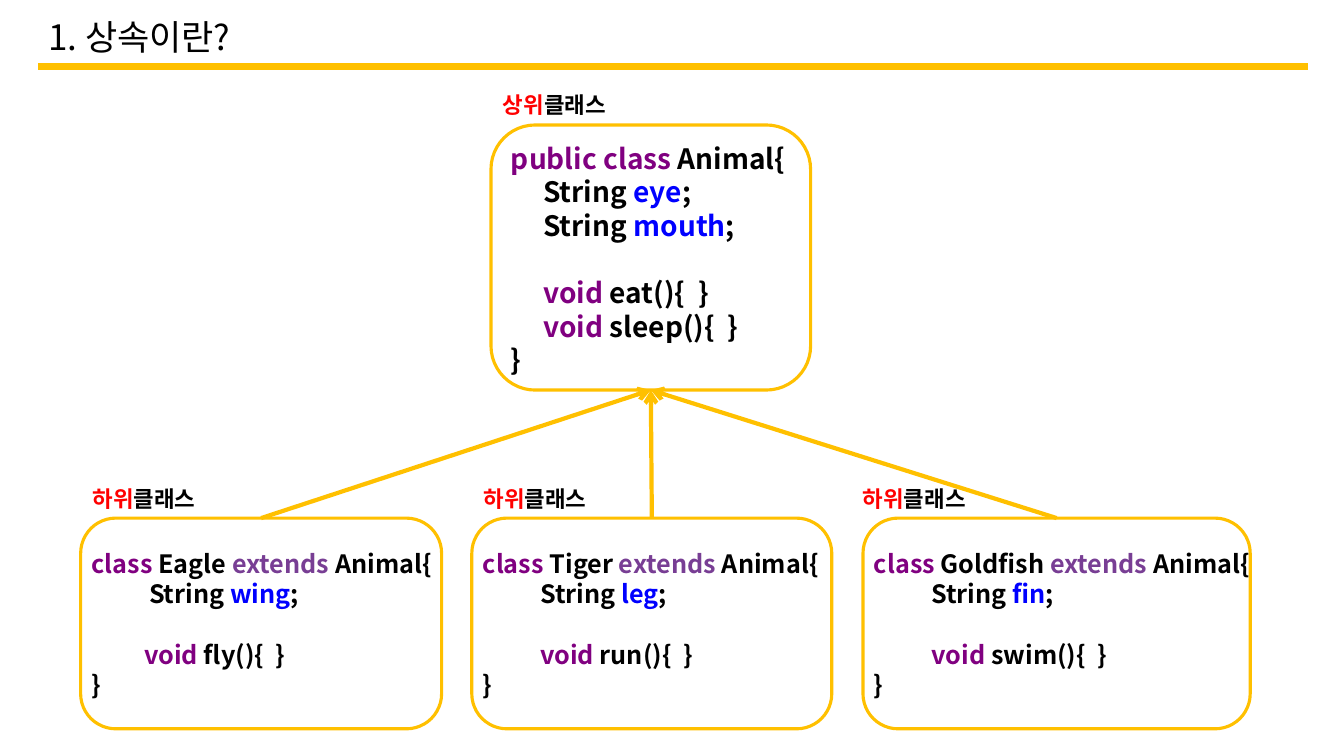
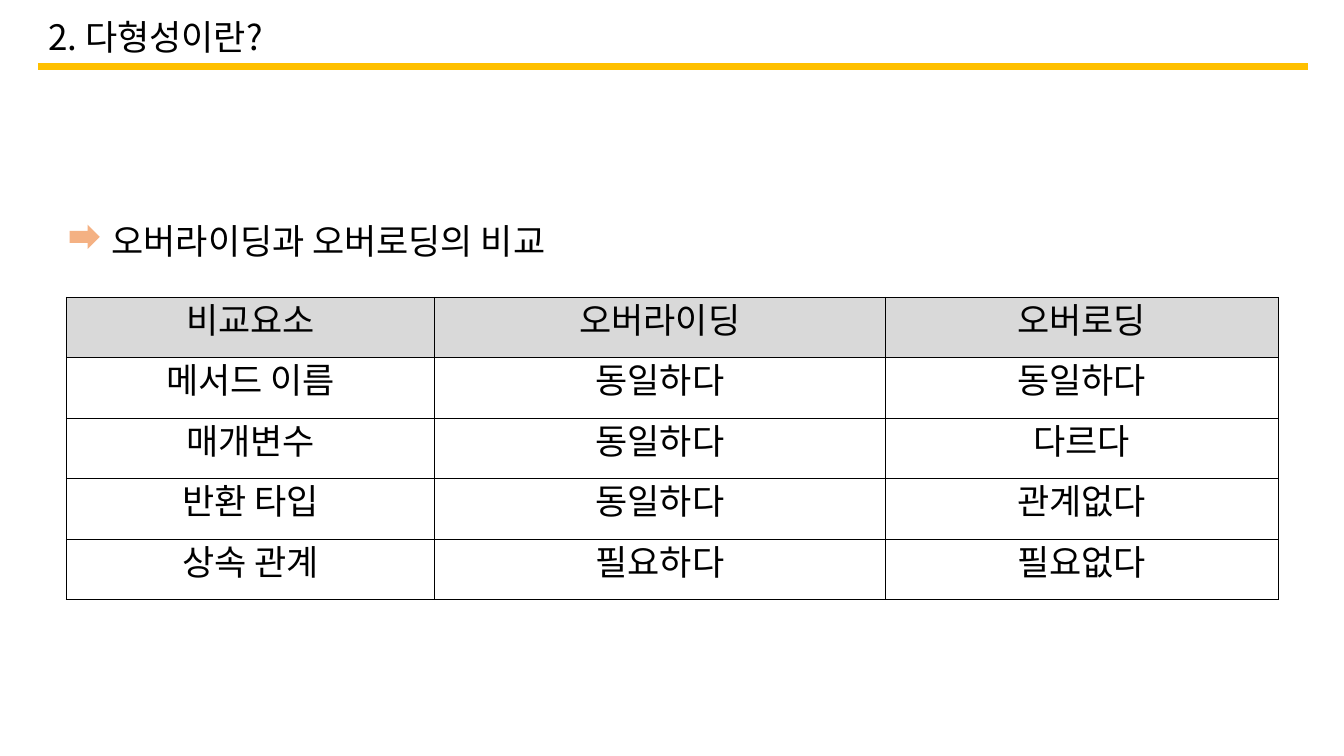
from lxml.etree import SubElement
from pptx import Presentation
from pptx.dml.color import RGBColor
from pptx.enum.shapes import MSO_CONNECTOR, MSO_SHAPE
from pptx.enum.text import MSO_ANCHOR, MSO_AUTO_SIZE, PP_ALIGN
from pptx.oxml.ns import qn
from pptx.util import Inches, Pt


class Theme:
    font = "Noto Sans CJK KR"
    cell = "Arial"
    head = 25
    code = 20
    sub = 18
    tag = 16
    lead = 1.2
    ink = "000000"
    key = "800080"
    ext = "783E94"
    var = "0000FF"
    hot = "FF0000"
    gold = "FFC000"
    peach = "F4B183"
    gray = "D9D9D9"
    white = "FFFFFF"


WIDE, HIGH = 13.33, 7.5
TITLES = ["1. 상속이란?", "2. 다형성이란?"]

BASE = [
    (0, 0, [("key", "public class "), ("ink", "Animal{")]),
    (0.32, 0, [("ink", "String "), ("var", "eye"), ("ink", ";")]),
    (0.32, 0, [("ink", "String "), ("var", "mouth"), ("ink", ";")]),
    (0.32, 1, [("key", "void"), ("ink", " eat(){  }")]),
    (0.32, 0, [("key", "void"), ("ink", " sleep(){  }")]),
    (0, 0, [("ink", "}")]),
]
KIDS = [
    ("Eagle", "wing", "fly", 3.58, 0.02, 0.52),
    ("Tiger", "leg", "run", 3.57, 0.02, 0.57),
    ("Goldfish", "fin", "swim", 3.84, -0.1, 0.57),
]
LEFT, STEP, TOP = 0.8, 3.88, 5.14

CAPTION = "오버라이딩과 오버로딩의 비교"
ROWS = [
    ("비교요소", "오버라이딩", "오버로딩"),
    ("메서드 이름", "동일하다", "동일하다"),
    ("매개변수", "동일하다", "다르다"),
    ("반환 타입", "동일하다", "관계없다"),
    ("상속 관계", "필요하다", "필요없다"),
]
COLS = [3.65, 4.47, 3.9]
ROW = 0.6


def rgb(name):
    return RGBColor.from_string(getattr(Theme, name))


def box(*at):
    return [Inches(n) for n in at]


def style(par, size, bold=False, face=Theme.font):
    par.line_spacing = Pt(size * Theme.lead)
    font = par.font
    font.size, font.bold, font.name = Pt(size), bold, face
    font.color.rgb = rgb("ink")
    base = par._p.pPr.find(qn("a:defRPr"))
    SubElement(base, qn("a:ea")).set("typeface", Theme.font)


def write(slide, at, lines, size, bold=True, wrap=True):
    frame = slide.shapes.add_textbox(*box(*at)).text_frame
    frame.word_wrap = wrap
    for i, (dent, gap, runs) in enumerate(lines):
        par = frame.add_paragraph() if i else frame.paragraphs[0]
        style(par, size, bold)
        par.space_before = Pt(gap * size * Theme.lead)
        par._p.pPr.set("marL", str(Inches(dent)))
        for tone, text in runs:
            run = par.add_run()
            run.text = text
            run.font.color.rgb = rgb(tone)


def link(slide, start, end, width):
    line = slide.shapes.add_connector(MSO_CONNECTOR.STRAIGHT, *box(*start, *end))
    line.line.color.rgb = rgb("gold")
    line.line.width = Pt(width)
    SubElement(line._element.spPr, qn("a:effectLst"))
    return line


def page(deck, text):
    slide = deck.slides.add_slide(deck.slide_layouts[5])
    title = slide.shapes.title
    title.left, title.top, title.width, title.height = box(0.38, 0.1, 6, 0.51)
    frame = title.text_frame
    frame.text = text
    frame.word_wrap = False
    frame.auto_size = MSO_AUTO_SIZE.NONE
    frame.vertical_anchor = MSO_ANCHOR.TOP
    par = frame.paragraphs[0]
    par.alignment = PP_ALIGN.LEFT
    par.space_before = Pt(0)
    style(par, Theme.head)
    link(slide, (0.38, 0.66), (12.97, 0.66), 4.5)
    return slide


def card(slide, x, y, w, h, tag, shift, pad, lines, size):
    shape = slide.shapes.add_shape(MSO_SHAPE.ROUNDED_RECTANGLE, *box(x, y, w, h))
    shape.shadow.inherit = False
    shape.fill.background()
    shape.line.color.rgb = rgb("gold")
    shape.line.width = Pt(2.25)
    write(slide, (x + pad[0], y + pad[1], w + 0.3, h - 2 * pad[1]), lines, size)
    label = [(0, 0, [("hot", tag), ("ink", "클래스")])]
    write(slide, (x + shift, y - 0.38, 1.5, 0.37), label, Theme.tag)
    return shape


def tree(slide):
    root = card(slide, 4.87, 1.24, 3.17, 2.63, "상위", 0.02, (0.1, 0.11),
                BASE, Theme.code)
    for i, (name, field, act, wide, shift, dent) in enumerate(KIDS):
        lines = [
            (0, 0, [("key", "class"), ("ink", f" {name}"),
                    ("ext", " extends "), ("ink", "Animal{")]),
            (0.57, 0, [("ink", "String "), ("var", field), ("ink", ";")]),
            (dent, 1, [("key", "void"), ("ink", f" {act}(){{  }}")]),
            (0, 0, [("ink", "}")]),
        ]
        kid = card(slide, LEFT + i * STEP, TOP, wide, 2.09, "하위", shift,
                   (0.01, 0.25), lines, Theme.sub)
        line = link(slide, (0, 0), (1, 1), 3)
        line.begin_connect(kid, 0)
        line.end_connect(root, 2)
        SubElement(line.line._get_or_add_ln(), qn("a:tailEnd")).set("type", "arrow")


def edge(cell):
    props = cell._tc.get_or_add_tcPr()
    for i, side in enumerate(("lnL", "lnR", "lnT", "lnB")):
        line = props.makeelement(qn(f"a:{side}"), {"w": str(Pt(1))})
        fill = SubElement(line, qn("a:solidFill"))
        SubElement(fill, qn("a:srgbClr")).set("val", Theme.ink)
        props.insert(i, line)


def grid(slide):
    at = box(0.66, 2.95, sum(COLS), ROW * len(ROWS))
    table = slide.shapes.add_table(len(ROWS), len(COLS), *at).table
    table.first_row = table.horz_banding = False
    for col, wide in zip(table.columns, COLS):
        col.width = Inches(wide)
    for r, row in enumerate(ROWS):
        table.rows[r].height = Inches(ROW)
        for c, text in enumerate(row):
            cell = table.cell(r, c)
            cell.text = text
            cell.margin_left = cell.margin_right = Inches(0.07)
            cell.margin_top = cell.margin_bottom = Inches(0.04)
            cell.fill.solid()
            cell.fill.fore_color.rgb = rgb("white" if r else "gray")
            par = cell.text_frame.paragraphs[0]
            par.alignment = PP_ALIGN.CENTER
            par.space_before = Pt(7)
            style(par, Theme.head, face=Theme.cell)
            edge(cell)


def match(slide):
    write(slide, (1.01, 2.13, 4.97, 0.51), [(0, 0, [("ink", CAPTION)])],
          Theme.head, bold=False, wrap=False)
    arrow = slide.shapes.add_shape(MSO_SHAPE.RIGHT_ARROW, *box(0.69, 2.23, 0.3, 0.24))
    arrow.shadow.inherit = False
    arrow.fill.solid()
    arrow.fill.fore_color.rgb = rgb("peach")
    arrow.line.fill.background()
    grid(slide)


def main():
    deck = Presentation()
    deck.slide_width, deck.slide_height = box(WIDE, HIGH)
    for text, draw in zip(TITLES, (tree, match)):
        draw(page(deck, text))
    deck.save("out.pptx")


if __name__ == "__main__":
    main()
